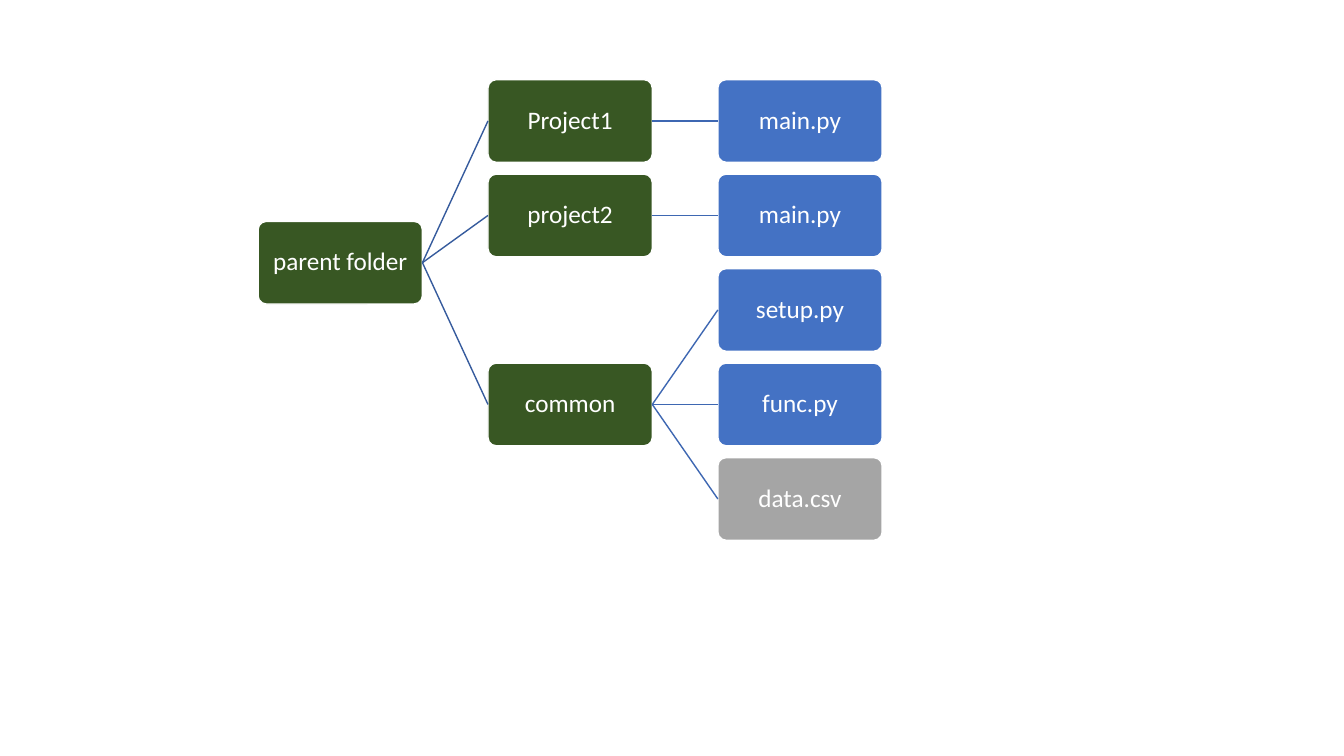
import pptx
import pptx.dml.color
import pptx.enum.shapes
import pptx.enum.text
import pptx.oxml.ns
import pptx.util
from dataclasses import dataclass
from lxml import etree
from pptx.util import Inches

RGBColor = pptx.dml.color.RGBColor
FOLDER_GREEN = RGBColor(0x38, 0x57, 0x23)
SCRIPT_BLUE = RGBColor(0x44, 0x72, 0xC4)
DATA_GRAY = RGBColor(0xA5, 0xA5, 0xA5)
WHITE = RGBColor(0xFF, 0xFF, 0xFF)
# Link colour by the column the link starts from
LINK_COLORS = [RGBColor(0x36, 0x5B, 0x9D), RGBColor(0x3E, 0x67, 0xB2)]

NODE_WIDTH, NODE_HEIGHT = Inches(1.63), Inches(0.82)
COLUMNS, ROWS = 3, 5
LEFT_SITE, RIGHT_SITE = 1, 3


@dataclass
class Node:
    label: str
    color: RGBColor
    children: tuple = ()


FOLDER_TREE = Node("parent folder", FOLDER_GREEN, (
    Node("Project1", FOLDER_GREEN, (Node("main.py", SCRIPT_BLUE),)),
    Node("project2", FOLDER_GREEN, (Node("main.py", SCRIPT_BLUE),)),
    Node("common", FOLDER_GREEN, (
        Node("setup.py", SCRIPT_BLUE),
        Node("func.py", SCRIPT_BLUE),
        Node("data.csv", DATA_GRAY),
    )),
))


def add_node(slide, node, left, top):
    """Draw one rounded, labelled box."""
    shape = slide.shapes.add_shape(
        pptx.enum.shapes.MSO_SHAPE.ROUNDED_RECTANGLE,
        left, top, NODE_WIDTH, NODE_HEIGHT)
    shape.adjustments[0] = 0.1
    shape.shadow.inherit = False
    shape.fill.solid()
    shape.fill.fore_color.rgb = node.color
    shape.line.color.rgb = WHITE
    shape.line.width = pptx.util.Pt(1)

    # Label
    text_frame = shape.text_frame
    text_frame.text = node.label
    text_frame.word_wrap = True
    text_frame.vertical_anchor = pptx.enum.text.MSO_ANCHOR.MIDDLE
    text_frame.margin_left = text_frame.margin_right = Inches(0.03)
    text_frame.margin_top = text_frame.margin_bottom = Inches(0.03)
    paragraph = text_frame.paragraphs[0]
    paragraph.alignment = pptx.enum.text.PP_ALIGN.CENTER
    paragraph.line_spacing = 0.9
    font = paragraph.runs[0].font
    font.name = "Calibri"
    font.size = pptx.util.Pt(18)
    font.color.rgb = WHITE
    return shape


def add_link(slide, parent, child, color):
    """Join the right side of a parent to the left side of its child."""
    connector = slide.shapes.add_connector(
        pptx.enum.shapes.MSO_CONNECTOR.STRAIGHT, 0, 0, 0, 0)
    connector.begin_connect(parent, RIGHT_SITE)
    connector.end_connect(child, LEFT_SITE)
    connector.line.color.rgb = color
    connector.line.width = pptx.util.Pt(1)
    etree.SubElement(connector.element.spPr, pptx.oxml.ns.qn("a:effectLst"))


def add_tree(slide, root, left, top, width, height):
    """Lay out a tree from left to right, leaves in equal rows."""
    column_pitch = (width - NODE_WIDTH) / (COLUMNS - 1)
    row_pitch = (height - NODE_HEIGHT) / (ROWS - 1)
    leaf_rows = iter(range(ROWS))

    def place(node, column):
        # A parent is centred on its first and last child
        branches = [place(child, column + 1) for child in node.children]
        if branches:
            row = (branches[0][1] + branches[-1][1]) / 2
        else:
            row = next(leaf_rows)
        shape = add_node(slide, node, round(left + column * column_pitch),
                         round(top + row * row_pitch))
        for child_shape, _ in branches:
            add_link(slide, shape, child_shape, LINK_COLORS[column])
        return shape, row

    place(root, 0)


def main():
    presentation = pptx.Presentation()
    presentation.slide_width = Inches(13.33)
    presentation.slide_height = Inches(7.5)
    blank_layout = presentation.slide_layouts[6]
    slide = presentation.slides.add_slide(blank_layout)
    add_tree(slide, FOLDER_TREE,
             Inches(2.56), Inches(0.79), Inches(6.19), Inches(4.57))
    presentation.save("out.pptx")


if __name__ == "__main__":
    main()
